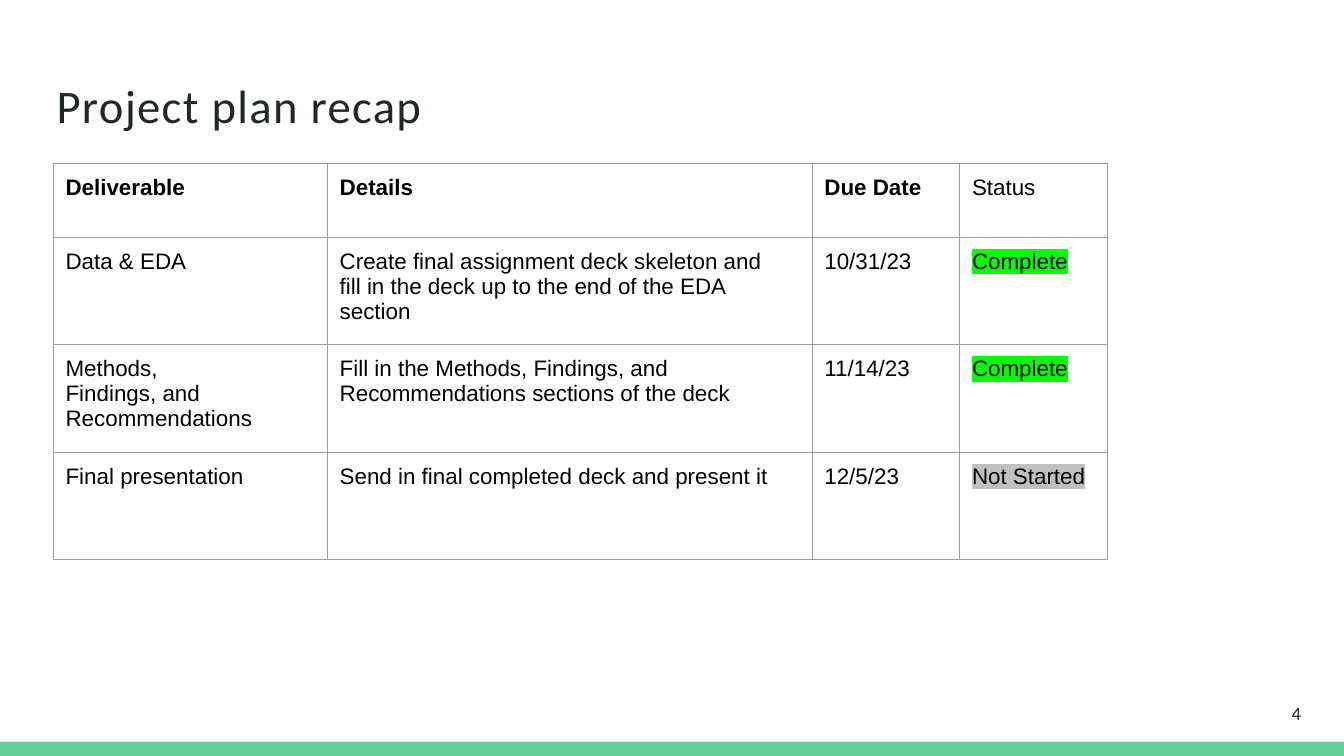
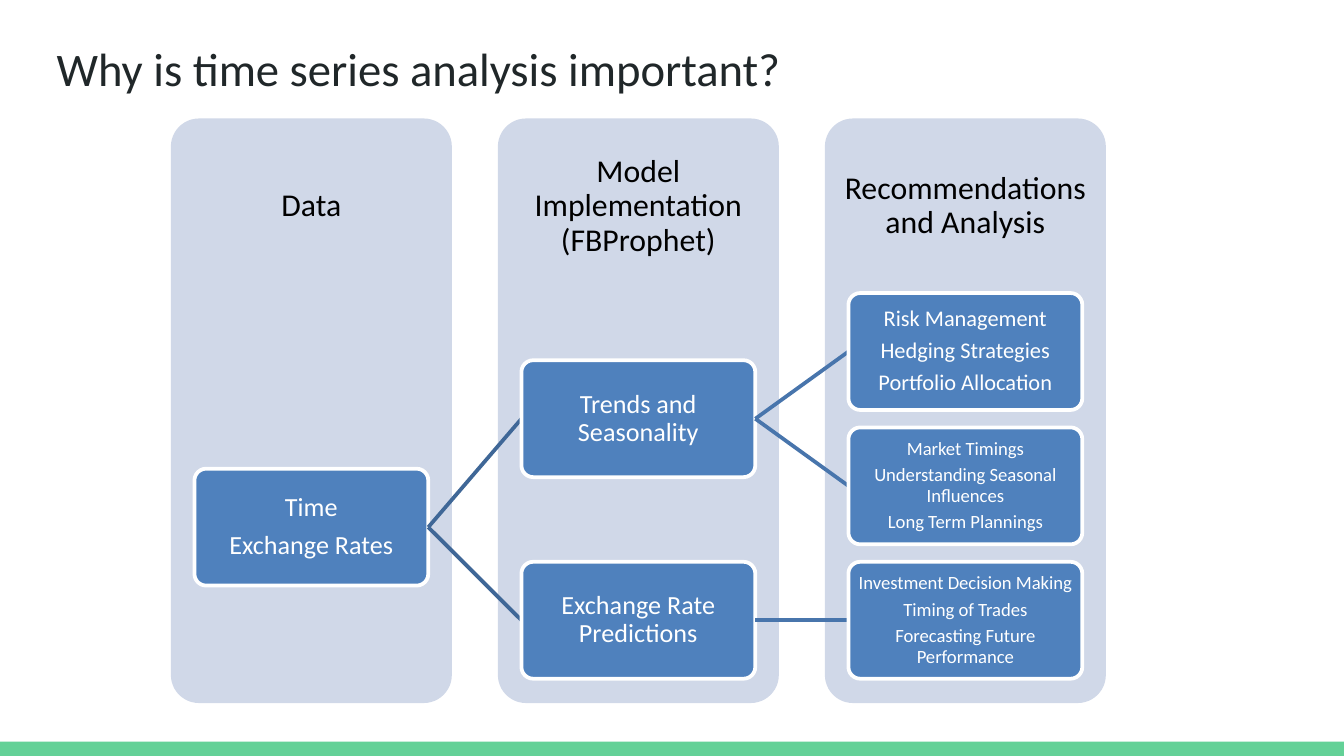
"""Builds two project slides: a plan table and a time series diagram."""
from dataclasses import dataclass

from lxml import etree
from pptx import Presentation
from pptx.dml.color import RGBColor
from pptx.enum import shapes as kinds, text as t
from pptx.oxml import ns
from pptx.util import Cm, Pt


@dataclass(frozen=True)
class Theme:
    """Colours, fonts and type sizes shared by the slides."""
    ink: str = "202729"
    black: str = "000000"
    white: str = "FFFFFF"
    band: str = "63D197"
    grid: str = "9E9E9E"
    panel: str = "D0D8E8"
    card: str = "4F81BD"
    links: tuple = ("3F6797", "4875AC")
    done: str = "00FF00"
    waiting: str = "C0C0C0"
    heading_font: str = "Calibri"
    table_font: str = "Arial"
    title: float = 25
    header: float = 17
    card_text: float = 14
    table_text: float = 12
    page_number: float = 10


THEME = Theme()
WIDTH, HEIGHT = 25.4, 14.29

# Diagram grid, in centimetres
PANEL_LEFT, PANEL_TOP, PANEL_STEP = 3.23, 2.24, 6.18
PANEL_WIDTH, PANEL_HEIGHT, HEADER_HEIGHT = 5.31, 11.05, 3.33
CARD_WIDTH, CARD_HEIGHT = 4.42, 2.21
CARD_INSET = (PANEL_WIDTH - CARD_WIDTH) / 2
OUTCOME_TOPS = [5.54 + 2.54 * row for row in range(3)]


@dataclass(frozen=True)
class Card:
    """One node of the diagram, with the cards it leads to."""
    lines: tuple
    top: float
    size: float = THEME.card_text
    children: tuple = ()


PANELS = ["Data", "Model Implementation (FBProphet)", "Recommendations and Analysis"]

TREE = Card(("Time", "Exchange Rates"), 8.86, children=(
    Card(("Trends and Seasonality",), sum(OUTCOME_TOPS[:2]) / 2, children=(
        Card(("Risk Management", "Hedging Strategies", "Portfolio Allocation"),
             OUTCOME_TOPS[0], 12),
        Card(("Market Timings", "Understanding Seasonal Influences",
              "Long Term Plannings"), OUTCOME_TOPS[1], 10),
    )),
    Card(("Exchange Rate Predictions",), OUTCOME_TOPS[2], children=(
        Card(("Investment Decision Making", "Timing of Trades",
              "Forecasting Future Performance"), OUTCOME_TOPS[2], 10),
    )),
))

PLAN = [
    ("Deliverable", "Details", "Due Date", "Status"),
    ("Data & EDA",
     "Create final assignment deck skeleton and fill in the deck up to the end "
     "of the EDA section", "10/31/23", "Complete"),
    ("Methods, Findings, and Recommendations",
     "Fill in the Methods, Findings, and Recommendations sections of the deck",
     "11/14/23", "Complete"),
    ("Final presentation", "Send in final completed deck and present it",
     "12/5/23", "Not Started"),
]
PLAN_WIDTHS = (5.18, 9.16, 2.79, 2.79)
PLAN_RIGHT_MARGINS = (1.42, 0.62, 0, 0)
PLAN_HEIGHTS = (1.4, 2.03, 2.03, 2.03)
STATUS_COLOURS = {"Complete": THEME.done, "Not Started": THEME.waiting}


def rgb(code):
    """Turn a hex code into a colour."""
    return RGBColor.from_string(code)


def set_font(font, name, size, colour, bold=False):
    """Set the look of a font."""
    font.name, font.size, font.bold = name, Pt(size), bold
    font.color.rgb = rgb(colour)


def set_margins(target, left=0, top=0, right=0, bottom=0):
    """Set the inner margins of a text frame or cell in centimetres."""
    target.margin_left, target.margin_top = Cm(left), Cm(top)
    target.margin_right, target.margin_bottom = Cm(right), Cm(bottom)


def fill_centred(frame, lines, size, colour, margin):
    """Write centred paragraphs in the middle of a text frame."""
    frame.word_wrap = True
    frame.vertical_anchor = t.MSO_ANCHOR.MIDDLE
    set_margins(frame, margin, margin, margin, margin)
    for index, line in enumerate(lines):
        para = frame.add_paragraph() if index else frame.paragraphs[0]
        para.text = line
        para.alignment = t.PP_ALIGN.CENTER
        para.line_spacing = 0.9
        para.space_after = Pt(size * 0.35)
        set_font(para.font, THEME.heading_font, size, colour)


def add_block(page, kind, left, top, width, height, fill, line=None):
    """Add a flat filled shape, with an optional 2 pt outline."""
    block = page.shapes.add_shape(kind, Cm(left), Cm(top), Cm(width), Cm(height))
    block.shadow.inherit = False
    block.fill.solid()
    block.fill.fore_color.rgb = rgb(fill)
    if line:
        block.line.color.rgb = rgb(line)
        block.line.width = Pt(2)
    else:
        block.line.fill.background()
    return block


def add_rounded(page, *place, fill, line=None):
    """Add a rounded block with small corners."""
    block = add_block(page, kinds.MSO_SHAPE.ROUNDED_RECTANGLE, *place, fill, line)
    block.adjustments[0] = 0.1
    return block


def add_page(deck, title, height, top_margin=0, tracking=0):
    """Add a title-only slide with its title and bottom band."""
    page = deck.slides.add_slide(deck.slide_layouts[5])
    add_block(page, kinds.MSO_SHAPE.RECTANGLE, 0, 14.02, WIDTH, 0.27, THEME.band)
    box = page.shapes.title
    box.left, box.top = Cm(1.07), Cm(0.76)
    box.width, box.height = Cm(23.27), Cm(height)
    frame = box.text_frame
    frame.auto_size = t.MSO_AUTO_SIZE.NONE
    frame.vertical_anchor = t.MSO_ANCHOR.TOP
    set_margins(frame, top=top_margin)
    para = frame.paragraphs[0]
    para.alignment = t.PP_ALIGN.LEFT
    set_font(para.font, THEME.heading_font, THEME.title, THEME.ink)
    span = para.add_run()
    span.text = title
    if tracking:
        span._r.get_or_add_rPr().set("spc", str(tracking))
    return page


def add_page_number(page, number):
    """Write the page number near the lower right corner."""
    box = page.shapes.add_textbox(Cm(24.28), Cm(13.26), Cm(0.66), Cm(0.51))
    set_margins(box.text_frame, left=0.13)
    para = box.text_frame.paragraphs[0]
    para.text = str(number)
    set_font(para.font, THEME.heading_font, THEME.page_number, THEME.ink)


def highlight(span, colour):
    """Mark a run with a background colour."""
    mark = etree.SubElement(span._r.get_or_add_rPr(), ns.qn("a:highlight"))
    etree.SubElement(mark, ns.qn("a:srgbClr"), val=colour)


def add_borders(cell):
    """Draw thin grid lines on all four sides of a cell."""
    properties = cell._tc.get_or_add_tcPr()
    for index, side in enumerate(("lnL", "lnR", "lnT", "lnB")):
        line = etree.Element(ns.qn("a:" + side), w=str(Pt(0.75)))
        fill = etree.SubElement(line, ns.qn("a:solidFill"))
        etree.SubElement(fill, ns.qn("a:srgbClr"), val=THEME.grid)
        properties.insert(index, line)


def fill_cell(cell, words, right_margin, bold):
    """Write and format one table cell."""
    cell.fill.background()
    add_borders(cell)
    set_margins(cell, 0.23, 0.22, right_margin)
    para = cell.text_frame.paragraphs[0]
    set_font(para.font, THEME.table_font, THEME.table_text, THEME.black, bold)
    span = para.add_run()
    span.text = words
    if words in STATUS_COLOURS:
        highlight(span, STATUS_COLOURS[words])


def add_plan(page):
    """Add the table of deliverables."""
    frame = page.shapes.add_table(len(PLAN), len(PLAN_WIDTHS), Cm(1.01), Cm(3.09),
                                  Cm(sum(PLAN_WIDTHS)), Cm(sum(PLAN_HEIGHTS)))
    table = frame.table
    table.first_row = table.horz_banding = False
    for column, width in zip(table.columns, PLAN_WIDTHS):
        column.width = Cm(width)
    for row, height in zip(table.rows, PLAN_HEIGHTS):
        row.height = Cm(height)
    for r, entries in enumerate(PLAN):
        for c, words in enumerate(entries):
            fill_cell(table.cell(r, c), words, PLAN_RIGHT_MARGINS[c],
                      bold=r == 0 and words != "Status")


def add_panel(page, level, header):
    """Add one column of the diagram with its header."""
    left = PANEL_LEFT + level * PANEL_STEP
    add_rounded(page, left, PANEL_TOP, PANEL_WIDTH, PANEL_HEIGHT, fill=THEME.panel)
    box = page.shapes.add_textbox(Cm(left), Cm(PANEL_TOP), Cm(PANEL_WIDTH),
                                  Cm(HEADER_HEIGHT))
    fill_centred(box.text_frame, [header], THEME.header, THEME.black, 0.33)


def add_link(page, start, end, colour):
    """Draw a straight line between two points."""
    link = page.shapes.add_connector(kinds.MSO_CONNECTOR.STRAIGHT,
                                     *(Cm(value) for value in start + end))
    link.line.color.rgb = rgb(colour)
    link.line.width = Pt(2)
    etree.SubElement(link._element.spPr, ns.qn("a:effectLst"))


def add_branch(page, card, level=0):
    """Draw a card, then the links and cards that follow from it."""
    left = PANEL_LEFT + level * PANEL_STEP + CARD_INSET
    block = add_rounded(page, left, card.top, CARD_WIDTH, CARD_HEIGHT,
                        fill=THEME.card, line=THEME.white)
    fill_centred(block.text_frame, card.lines, card.size, THEME.white, 0.03)
    middle = CARD_HEIGHT / 2
    for child in card.children:
        add_link(page, (left + CARD_WIDTH, card.top + middle),
                 (left + PANEL_STEP, child.top + middle), THEME.links[level])
        add_branch(page, child, level + 1)


def main():
    """Build and save the deck."""
    deck = Presentation()
    deck.slide_width, deck.slide_height = Cm(WIDTH), Cm(HEIGHT)

    plan_page = add_page(deck, "Project plan recap", 1.75, 0.69, tracking=75)
    add_plan(plan_page)
    add_page_number(plan_page, 4)

    diagram_page = add_page(deck, "Why is time series analysis important?", 1.07)
    for level, header in enumerate(PANELS):
        add_panel(diagram_page, level, header)
    add_branch(diagram_page, TREE)

    deck.save("out.pptx")


if __name__ == "__main__":
    main()
